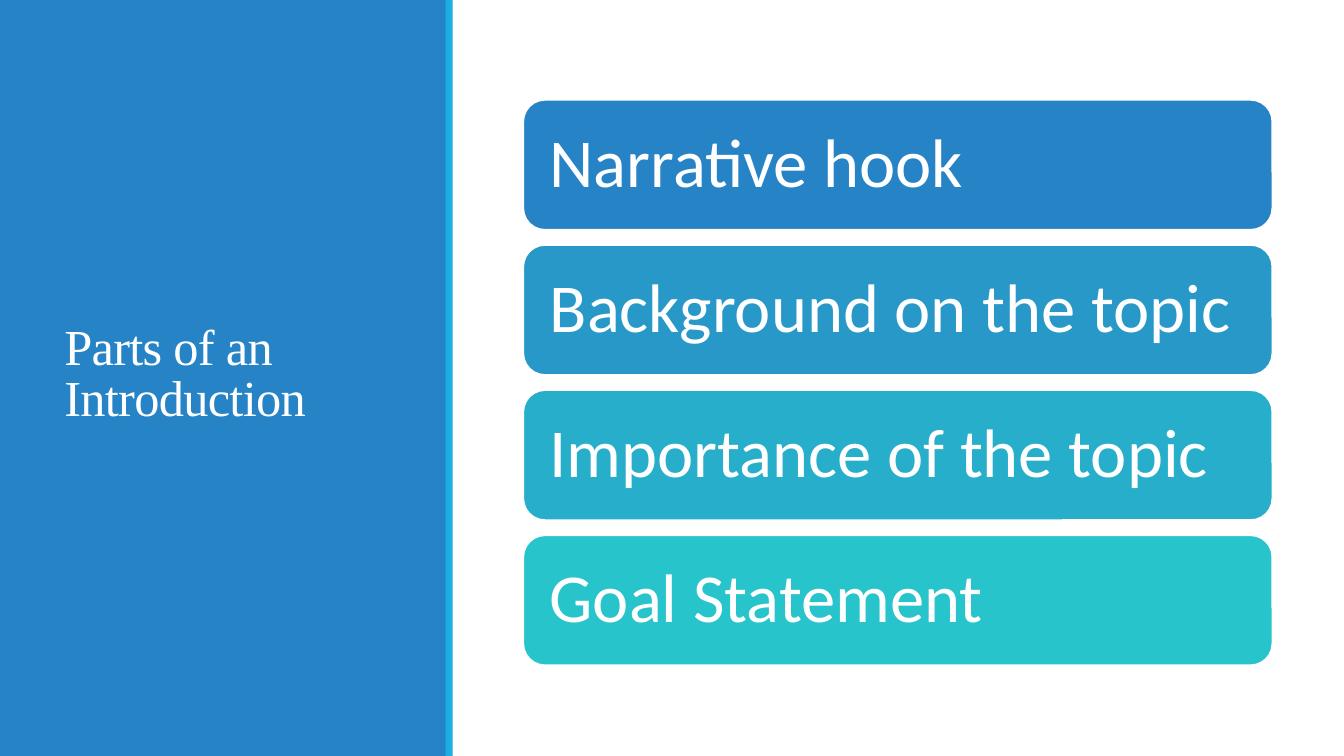
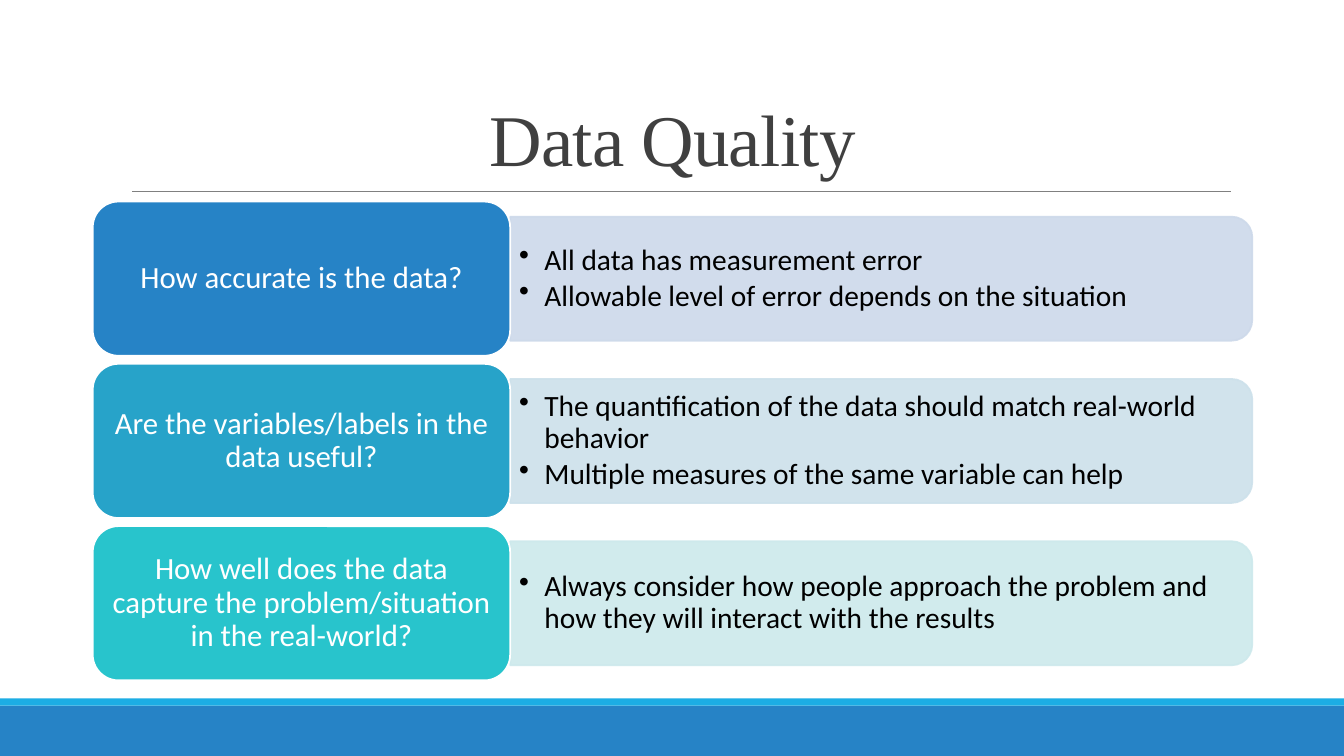
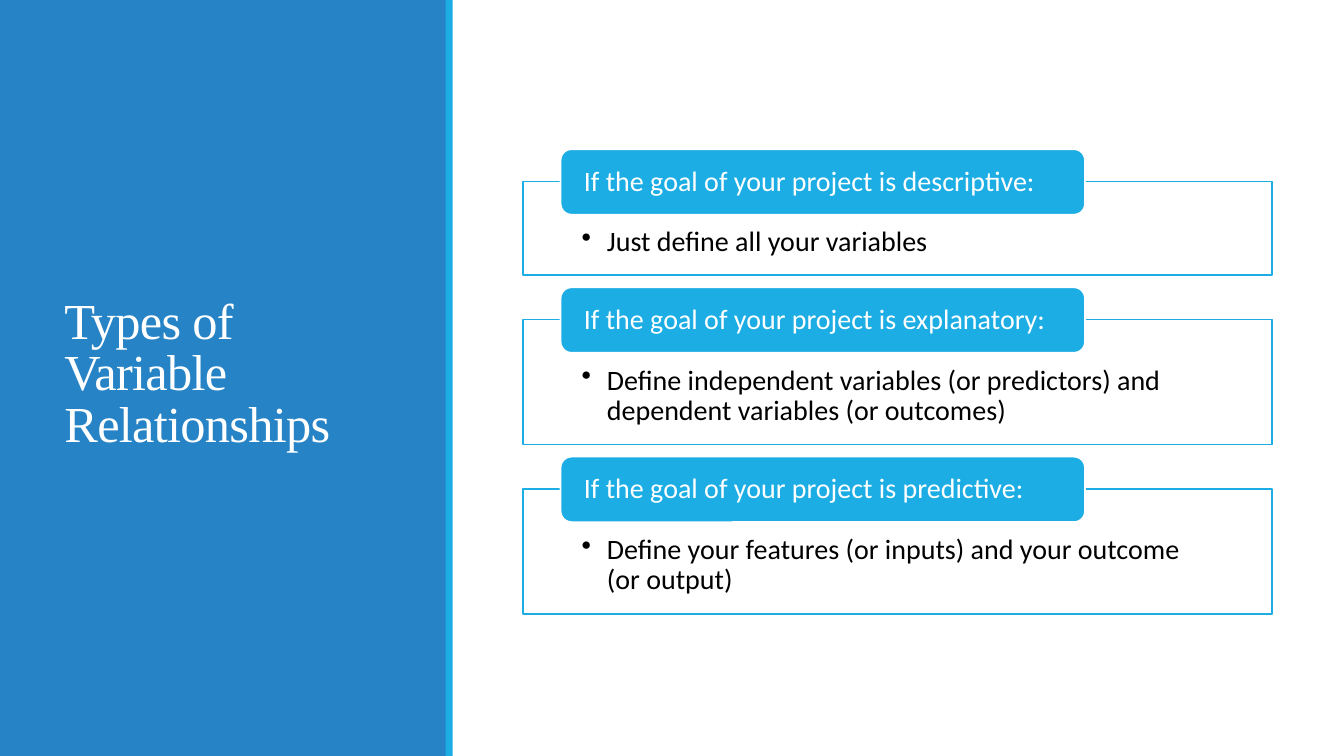
from lxml import etree
from pptx import Presentation
from pptx import util as u
from pptx.dml.color import RGBColor
from pptx.enum import shapes, text
from pptx.oxml import ns

BLUE, SKY, TEAL = "2683C6", "1CADE4", "28C4CC"
WHITE, BLACK, GREY, RULE = "FFFFFF", "000000", "404040", "808080"
WIDE, HIGH = 13.33, 7.5
KIND = shapes.MSO_SHAPE
MID, TOP, LOW = text.MSO_ANCHOR.MIDDLE, text.MSO_ANCHOR.TOP, text.MSO_ANCHOR.BOTTOM
LEFT, MIDST = text.PP_ALIGN.LEFT, text.PP_ALIGN.CENTER
PLAIN = (0.1, 0.05, 0.1, 0.05)
SIDES = ("left", "top", "right", "bottom")

HEAD = {"name": "Times New Roman", "spacing": 0.85, "track": -50}
BODY = {"name": "Calibri", "spacing": 0.9}
SIDE_HEAD = {**HEAD, "size": 36, "color": WHITE, "anchor": MID}
TOP_HEAD = {**HEAD, "size": 52, "color": GREY, "anchor": LOW, "align": MIDST}
ITEM = {**BODY, "size": 49, "color": WHITE, "inset": (0.2,) * 4}
LABEL = {**BODY, "size": 22, "color": WHITE, "align": MIDST,
         "inset": (0.09, 0.05, 0.09, 0.05)}
POINT = {**BODY, "size": 21, "color": BLACK, "bullet": True, "after": 3,
         "inset": (0.09, 0.04, 0.09, 0.04)}
TAB = {**BODY, "size": 20, "color": WHITE, "inset": (0.2, 0, 0.2, 0)}
NOTE = {**POINT, "size": 20, "anchor": TOP, "inset": (0.58, 0.46, 0.58, 0.16)}

PARTS = [("Narrative hook", BLUE), ("Background on the topic", "2798C8"),
         ("Importance of the topic", "27AECA"), ("Goal Statement", TEAL)]
CHECKS = [
    ("How accurate is the data?", BLUE, "CDD9EA",
     ["All data has measurement error",
      "Allowable level of error depends on the situation"]),
    ("Are the variables/labels in the data useful?", "27A3C9", "CDE1EB",
     ["The quantification of the data should match real-world behavior",
      "Multiple measures of the same variable can help"]),
    ("How well does the data capture the problem/situation in the real-world?",
     TEAL, "CDE9EC",
     ["Always consider how people approach the problem and how they will "
      "interact with the results"]),
]
GOALS = [
    ("descriptive", 0.93, "Just define all your variables"),
    ("explanatory", 1.24, "Define independent variables (or predictors) and "
     "dependent variables (or outcomes)"),
    ("predictive", 1.24, "Define your features (or inputs) and your outcome (or output)"),
]


def rgb(code):
    """Turn a hex string into a colour."""
    return RGBColor.from_string(code)


def place(box):
    """Turn a box in inches into lengths."""
    return [u.Inches(n) for n in box]


def write(shape, lines, look):
    """Fill a shape with styled paragraphs."""
    frame = shape.text_frame
    frame.word_wrap = True
    frame.vertical_anchor = look.get("anchor", MID)
    for side, gap in zip(SIDES, look.get("inset", PLAIN)):
        setattr(frame, "margin_" + side, u.Inches(gap))
    for i, line in enumerate(lines):
        para = frame.add_paragraph() if i else frame.paragraphs[0]
        if look.get("bullet"):
            props = para._p.get_or_add_pPr()
            props.set("marL", str(u.Inches(0.25)))
            props.set("indent", str(u.Inches(-0.25)))
            etree.SubElement(props, ns.qn("a:buChar")).set("char", "•")
        form = {"alignment": look.get("align", LEFT),
                "line_spacing": look["spacing"],
                "space_after": u.Pt(look.get("after", 0))}
        for key, value in form.items():
            setattr(para, key, value)
        run = para.add_run()
        run.text = line
        for key, value in {"name": look["name"], "size": u.Pt(look["size"])}.items():
            setattr(run.font, key, value)
        run.font.color.rgb = rgb(look["color"])
        if "track" in look:
            run._r.get_or_add_rPr().set("spc", str(look["track"]))


def draw(slide, kind, box, fill, line=None, alpha=None):
    """Add a flat preset shape."""
    shape = slide.shapes.add_shape(kind, *place(box))
    shape.shadow.inherit = False
    shape.fill.solid()
    shape.fill.fore_color.rgb = rgb(fill)
    if line:
        shape.line.color.rgb = rgb(line)
        shape.line.width = u.Pt(1.25)
    else:
        shape.line.fill.background()
    if alpha:
        for tint in shape._element.spPr.iter(ns.qn("a:srgbClr")):
            etree.SubElement(tint, ns.qn("a:alpha")).set("val", str(alpha * 1000))
    return shape


def label(slide, box, lines, look):
    """Add a text box."""
    write(slide.shapes.add_textbox(*place(box)), lines, look)


def side(slide, title):
    """Draw the left panel with its title."""
    draw(slide, KIND.RECTANGLE, (0, 0, 4.43, HIGH), BLUE)
    label(slide, (0.54, 0.57, 3.37, 6.31), [title], SIDE_HEAD)
    draw(slide, KIND.RECTANGLE, (4.42, 0, 0.07, HIGH), SKY)


def banner(slide, title):
    """Draw the foot bands, the rule and the centred title."""
    draw(slide, KIND.RECTANGLE, (0, 7, WIDE, 0.5), BLUE)
    draw(slide, KIND.RECTANGLE, (0, 6.93, WIDE, 0.07), SKY)
    rule = slide.shapes.add_connector(shapes.MSO_CONNECTOR.STRAIGHT,
                                      *place((1.31, 1.9, 12.21, 1.9)))
    rule.line.color.rgb = rgb(RULE)
    rule.line.width = u.Pt(0.5)
    etree.SubElement(rule._element.spPr, ns.qn("a:effectLst"))
    label(slide, (0.92, 0.61, 11.5, 1.24), [title], TOP_HEAD)


def stack(slide, left, top, width):
    """Draw the parts as equal bars."""
    for i, (name, fill) in enumerate(PARTS):
        bar = draw(slide, KIND.ROUNDED_RECTANGLE,
                   (left, top + i * 1.44, width, 1.29), fill, WHITE)
        write(bar, [name], ITEM)


def check(slide, left, top, row):
    """Draw one question with its panel of points."""
    name, fill, pale, points = row
    ask, wide, high = 4.14, 7.36, 1.23
    start, drop = left + ask, top + 0.15
    turn = (wide - high) / 2
    panel = draw(slide, KIND.ROUND_2_SAME_RECTANGLE,
                 (start + turn, drop - turn, high, wide), pale, pale, 90)
    panel.rotation = 90
    label(slide, (start, drop + 0.06, wide - 0.06, high - 0.12), points, POINT)
    card = draw(slide, KIND.ROUNDED_RECTANGLE, (left, top, ask, 1.53), fill, WHITE)
    write(card, [name], LABEL)


def goals(slide, left, top, width):
    """Draw framed notes, each under a tab."""
    for goal, high, note in GOALS:
        frame = draw(slide, KIND.RECTANGLE, (left, top + 0.32, width, high), WHITE, SKY)
        write(frame, [note], NOTE)
        tab = draw(slide, KIND.ROUNDED_RECTANGLE,
                   (left + 0.37, top, width * 0.7, 0.65), SKY, WHITE)
        write(tab, [f"If the goal of your project is {goal}:"], TAB)
        top += 0.32 + high + 0.12


def main():
    """Build and save the slides."""
    deck = Presentation()
    deck.slide_width, deck.slide_height = place((WIDE, HIGH))
    intro, data, types = [deck.slides.add_slide(deck.slide_layouts[6]) for _ in range(3)]
    side(intro, "Parts of an Introduction")
    stack(intro, 5.19, 0.99, 7.43)
    banner(data, "Data Quality")
    for i, row in enumerate(CHECKS):
        check(data, 0.92, 2 + i * 1.61, row)
    side(types, "Types of Variable Relationships")
    goals(types, 5.19, 1.48, 7.43)
    deck.save("out.pptx")


if __name__ == "__main__":
    main()
